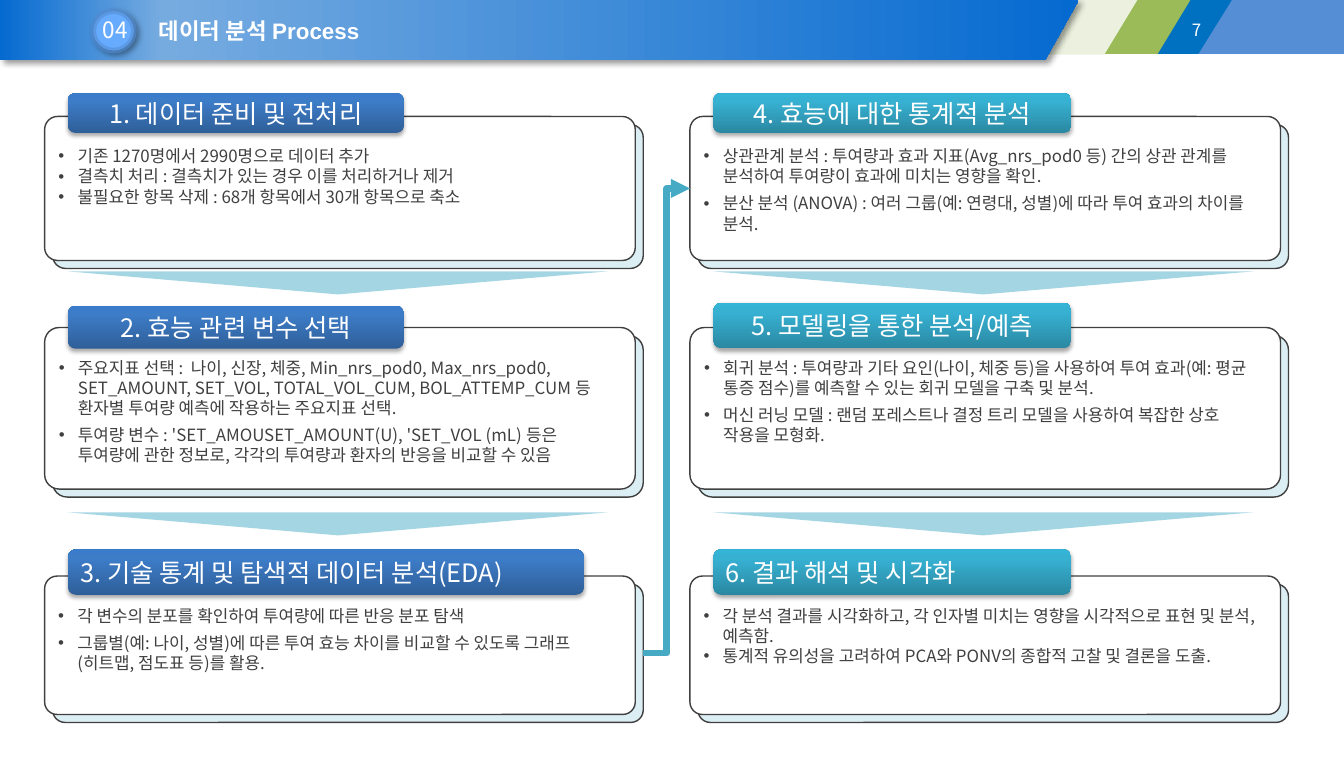
"""Build the data analysis process slide: six step cards in two columns."""
from lxml.etree import SubElement as Sub
from pptx import Presentation
from pptx.dml.color import RGBColor as Rgb
from pptx.enum.shapes import MSO_CONNECTOR as Link, MSO_SHAPE as Kind
from pptx.enum.text import MSO_ANCHOR as Anchor, PP_ALIGN as Align
from pptx.oxml.ns import qn
from pptx.util import Cm, Pt

HUES = {
    "white": "FFFFFF", "ink": "404040", "pale": "DBEEF4", "sky": "558ED5",
    "blue": "0070C0", "green": "9BBB59", "cream": "EBF1DE", "badge": "66ABFE",
    "deep": "056AD0", "haze": "76ABE0", "aqua": "4BACC6", "arrow": "46AAC5",
    "navy0": "2F5F99", "navy1": "3D7CC7", "navy2": "3A7CCB",
    "teal0": "2A88A2", "teal1": "37B1D2", "teal2": "34B4D6",
}
FONT = "Noto Sans CJK KR"


def style(shape, stops, edge=None, width=1, angle=0, shade=None):
    """Set fill, outline and shadow; stops is a hue or (place, hue) pairs."""
    if isinstance(stops, str):
        shape.fill.solid()
        shape.fill.fore_color.rgb = Rgb.from_string(HUES[stops])
    else:
        shape.fill.gradient()
        shape.fill.gradient_angle = angle
        ramp = shape._element.spPr.find(".//" + qn("a:gsLst"))
        ramp.clear()
        for place, hue in stops:
            stop = Sub(ramp, qn("a:gs"), pos=str(place * 1000))
            Sub(stop, qn("a:srgbClr"), val=HUES[hue])
    if edge:
        shape.line.color.rgb = Rgb.from_string(HUES[edge])
        shape.line.width = Pt(width)
    else:
        shape.line.fill.background()
    shape.shadow.inherit = False
    if shade:
        alpha, blur, dist, turn = shade
        glow = Sub(shape._element.spPr.find(qn("a:effectLst")), qn("a:outerShdw"),
                   blurRad=str(Pt(blur)), dist=str(Pt(dist)),
                   dir=str(turn * 60000), algn="t", rotWithShape="0")
        black = Sub(glow, qn("a:srgbClr"), val="000000")
        Sub(black, qn("a:alpha"), val=str(alpha * 1000))


def write(para, text, size, hue="white", align=Align.LEFT, font=FONT, bold=False):
    """Add one run of text to a paragraph."""
    para.alignment = align
    run = para.add_run()
    run.text = text
    run.font.size, run.font.name, run.font.bold = Pt(size), font, bold
    run.font.color.rgb = Rgb.from_string(HUES[hue])
    Sub(run._r.rPr, qn("a:ea"), typeface=FONT)


deck = Presentation()
deck.slide_width, deck.slide_height = Cm(33.7), Cm(19.05)
slide = deck.slides.add_slide(deck.slide_layouts[6])
shapes = slide.shapes

banner = [(0, "deep"), (15, "haze"), (100, "deep")]
soft = (40, 4, 3, 45)
bands = [
    ([(33.7, 0), (25.25, 0), (25.5, 1.35), (33.7, 1.35)], "sky", None),
    ([(3.84, 0), (30.89, 0), (30.05, 1.35), (3.84, 1.35)], "blue", None),
    ([(2.79, 0), (29.85, 0), (29.03, 1.35), (2.79, 1.35)], "green", None),
    ([(0.99, 0), (28.52, 0), (27.69, 1.37), (0.99, 1.37)], "cream", None),
    ([(0, 0), (27.05, 0), (26.21, 1.5), (0, 1.5)], banner, soft),
]
for points, fill, shade in bands:
    path = [(Cm(x), Cm(y)) for x, y in points]
    pen = shapes.build_freeform(*path[0])
    pen.add_line_segments(path[1:], close=True)
    style(pen.convert_to_shape(), fill, shade=shade)

disc = shapes.add_shape(Kind.OVAL, Cm(2.34), Cm(0.28), Cm(1.02), Cm(0.99))
style(disc, "badge", "sky", 4, shade=soft)
rim = disc._element.spPr.find(qn("a:ln")).find(".//" + qn("a:srgbClr"))
Sub(rim, qn("a:alpha"), val="60000")

labels = [
    (22.5, 0.38, 7.87, 0.74, "7", 12, Align.RIGHT, FONT, False),
    (3.73, 0.3, 15.14, 0.94, "데이터 분석 Process", 15.9, Align.LEFT, "Arial", True),
    (2.16, 0.28, 1.45, 0.94, "04", 16, Align.CENTER, FONT, False),
]
for x, y, w, h, text, size, align, font, bold in labels:
    frame = shapes.add_textbox(Cm(x), Cm(y), Cm(w), Cm(h)).text_frame
    frame.word_wrap = True
    frame.vertical_anchor = Anchor.MIDDLE
    write(frame.paragraphs[0], text, size, "white", align, font, bold)

rows = [(2.92, 3.61), (8.21, 4.05), (14.44, 3.47)]
cols = [(1.12, "navy"), (17.3, "teal")]
mid, left = Align.CENTER, Align.LEFT
# Each step: column, row, tab top, width and height, alignment, title, (gap, text) items
steps = [
    (0, 0, 2.34, 8.41, 0.99, mid, "1. 데이터 준비 및 전처리", [
        (0, "기존 1270명에서 2990명으로 데이터 추가"),
        (0, "결측치 처리 : 결측치가 있는 경우 이를 처리하거나 제거"),
        (0, "불필요한 항목 삭제 : 68개 항목에서 30개 항목으로 축소")]),
    (0, 1, 7.67, 8.41, 1.07, mid, "2. 효능 관련 변수 선택", [
        (0, "주요지표 선택 :  나이, 신장, 체중, Min_nrs_pod0, Max_nrs_pod0, SET_AMOUNT, "
            "SET_VOL, TOTAL_VOL_CUM, BOL_ATTEMP_CUM 등 환자별 투여량 예측에 작용하는 "
            "주요지표 선택."),
        (4.8, "투여량 변수 : 'SET_AMOUSET_AMOUNT(U), 'SET_VOL (mL) 등은 투여량에 관한 "
              "정보로, 각각의 투여량과 환자의 반응을 비교할 수 있음")]),
    (0, 2, 13.77, 12.93, 1.14, left, "3. 기술 통계 및 탐색적 데이터 분석(EDA)", [
        (0, "각 변수의 분포를 확인하여 투여량에 따른 반응 분포 탐색"),
        (4.8, "그룹별(예: 나이, 성별)에 따른 투여 효능 차이를 비교할 수 있도록 "
              "그래프(히트맵, 점도표 등)를 활용.")]),
    (1, 0, 2.34, 8.97, 0.99, mid, "4. 효능에 대한 통계적 분석", [
        (0, "상관관계 분석 : 투여량과 효과 지표(Avg_nrs_pod0 등) 간의 상관 관계를 "
            "분석하여 투여량이 효과에 미치는 영향을 확인."),
        (4.8, "분산 분석 (ANOVA) : 여러 그룹(예: 연령대, 성별)에 따라 투여 효과의 "
              "차이를 분석.")]),
    (1, 1, 7.59, 8.97, 1.14, mid, "5. 모델링을 통한 분석/예측", [
        (0, "회귀 분석 : 투여량과 기타 요인(나이, 체중 등)을 사용하여 투여 효과(예: 평균 "
            "통증 점수)를 예측할 수 있는 회귀 모델을 구축 및 분석."),
        (4.8, "머신 러닝 모델 : 랜덤 포레스트나 결정 트리 모델을 사용하여 복잡한 상호 "
              "작용을 모형화.")]),
    (1, 2, 13.77, 8.97, 1.14, left, "6. 결과 해석 및 시각화", [
        (0, "각 분석 결과를 시각화하고, 각 인자별 미치는 영향을 시각적으로 표현 및 "
            "분석, 예측함."),
        (0, "통계적 유의성을 고려하여 PCA와 PONV의 종합적 고찰 및 결론을 도출.")]),
]
backs, cards = [], []
for col, row, tab_y, tab_w, tab_h, align, title, items in steps:
    x, tone = cols[col]
    y, h = rows[row]
    for shift, fill, pile in [(0.2, "pale", backs), (0, "white", cards)]:
        card = shapes.add_shape(Kind.ROUNDED_RECTANGLE, Cm(x + shift), Cm(y + shift),
                                Cm(14.81), Cm(h))
        card.adjustments[0] = 0.09
        style(card, fill, "ink")
        pile.append(card)
    frame = card.text_frame
    frame.word_wrap = True
    frame.vertical_anchor = Anchor.TOP
    frame.margin_top = Cm(0.64)
    for i, (gap, text) in enumerate(items):
        para = frame.add_paragraph() if i else frame.paragraphs[0]
        para.line_spacing = Pt(14.4)
        if gap:
            para.space_before = Pt(gap)
        props = para._p.get_or_add_pPr()
        props.set("marL", str(Cm(0.48)))
        props.set("indent", str(-Cm(0.48)))
        Sub(props, qn("a:buFont"), typeface="Arial")
        Sub(props, qn("a:buChar"), char="•")
        write(para, text, 12, "ink")
    tab = shapes.add_shape(Kind.ROUNDED_RECTANGLE, Cm(x + 0.59), Cm(tab_y),
                           Cm(tab_w), Cm(tab_h))
    style(tab, [(0, tone + "0"), (80, tone + "1"), (100, tone + "2")],
          angle=90, shade=(35, 3.1, 1.8, 90))
    tab.text_frame.word_wrap = True
    tab.text_frame.vertical_anchor = Anchor.MIDDLE
    write(tab.text_frame.paragraphs[0], title, 18, align=align)

for x, tone in cols:
    for y in (6.8, 12.84):
        wedge = shapes.add_shape(Kind.ISOSCELES_TRIANGLE, Cm(x + 0.56), Cm(y),
                                 Cm(13.59), Cm(0.58))
        wedge.rotation = 180
        style(wedge, "aqua")
        tint = wedge._element.spPr.find(".//" + qn("a:srgbClr"))
        Sub(tint, qn("a:alpha"), val="50000")

route = shapes.add_connector(Link.ELBOW, Cm(16.13), Cm(16.4), Cm(17.3), Cm(4.72))
route.begin_connect(backs[2], 3)
route.end_connect(cards[3], 1)
route.line.color.rgb = Rgb.from_string(HUES["arrow"])
route.line.width = Pt(4.5)
Sub(route.line._get_or_add_ln(), qn("a:tailEnd"), type="triangle")
Sub(route._element.spPr, qn("a:effectLst"))

deck.save("out.pptx")
